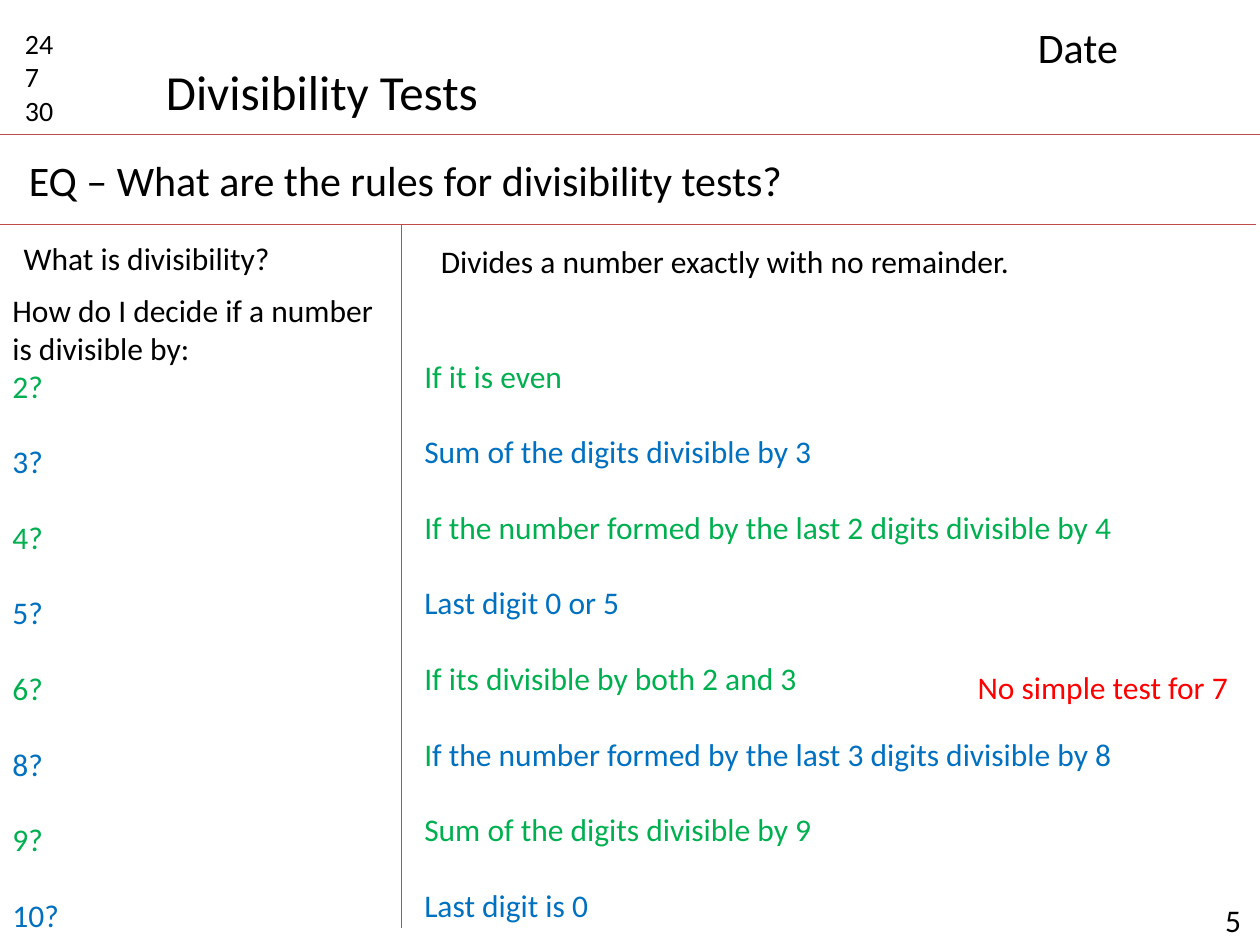
from dataclasses import dataclass

import pptx
import pptx.dml.color
import pptx.enum.shapes
import pptx.enum.text
import pptx.util
from lxml import etree

Pt = pptx.util.Pt
RGBColor = pptx.dml.color.RGBColor

BLACK = RGBColor(0x00, 0x00, 0x00)
GREEN = RGBColor(0x00, 0xB0, 0x50)
BLUE = RGBColor(0x00, 0x70, 0xC0)
RED = RGBColor(0xFF, 0x00, 0x00)
RULE = RGBColor(0xBF, 0x4C, 0x48)

FONT = "Calibri"
GAP = 21.6  # one empty line of 18 pt text
DRAW = "http://schemas.openxmlformats.org/drawingml/2006/main"


@dataclass
class Line:
    text: str
    color: RGBColor = BLACK
    before: float = 0
    lead: str = ""  # opening letters set in green


@dataclass
class Box:
    left: float
    top: float
    width: float
    height: float
    lines: list[Line]
    size: int = 18
    wrap: bool = True


@dataclass
class Rule:
    x1: float
    y1: float
    x2: float
    y2: float


@dataclass
class Test:
    number: int
    answer: str
    lead: str = ""


TESTS = [
    Test(2, "If it is even"),
    Test(3, "Sum of the digits divisible by 3"),
    Test(4, "If the number formed by the last 2 digits divisible by 4"),
    Test(5, "Last digit 0 or 5"),
    Test(6, "If its divisible by both 2 and 3"),
    Test(8, "f the number formed by the last 3 digits divisible by 8", "I"),
    Test(9, "Sum of the digits divisible by 9"),
    Test(10, "Last digit is 0"),
]

asks: list[Line] = [Line("How do I decide if a number is divisible by:")]
answers: list[Line] = []
for i, test in enumerate(TESTS):
    color = BLUE if i % 2 else GREEN
    gap = GAP if i else 0
    asks.append(Line(f"{test.number}?", color, gap))
    answers.append(Line(test.answer, color, gap, test.lead))

RULES = [
    Rule(0, 77, 720, 77),
    Rule(-2, 128.2, 718, 128.2),
    Rule(229.5, 128.2, 229.5, 530.5),
]

BOXES = [
    Box(689, 511.2, 43.2, 29, [Line(" 5")]),
    Box(7.2, 11.5, 45.4, 65.5, [Line("24"), Line("7"), Line("30")], 16),
    Box(87.8, 31.7, 194.4, 41, [Line("Divisibility Tests")], 28, False),
    Box(586, 8.6, 124.6, 36, [Line("Date")], 24),
    Box(9.4, 85, 679, 36,
        [Line("EQ – What are the rules for divisibility tests?")], 24),
    Box(6.5, 133.2, 203.8, 29, [Line("What is divisibility?")]),
    Box(244.8, 134.6, 340.6, 29,
        [Line("Divides a number exactly with no remainder.")], wrap=False),
    Box(0, 162.7, 229.7, 399.6, asks),
    Box(235.4, 200.2, 412.6, 443.5, answers, wrap=False),
    Box(551.5, 378, 159, 29, [Line("No simple test for 7", RED)], wrap=False),
]


def draw_rule(slide: pptx.slide.Slide, rule: Rule) -> None:
    line = slide.shapes.add_connector(
        pptx.enum.shapes.MSO_CONNECTOR.STRAIGHT,
        Pt(rule.x1), Pt(rule.y1), Pt(rule.x2), Pt(rule.y2))
    line.line.color.rgb = RULE
    line.line.width = Pt(0.75)
    etree.SubElement(line._element.spPr, f"{{{DRAW}}}effectLst")


def draw_box(slide: pptx.slide.Slide, box: Box) -> None:
    shape = slide.shapes.add_textbox(
        Pt(box.left), Pt(box.top), Pt(box.width), Pt(box.height))
    frame = shape.text_frame
    frame.word_wrap = box.wrap
    frame.auto_size = pptx.enum.text.MSO_AUTO_SIZE.SHAPE_TO_FIT_TEXT
    for i, line in enumerate(box.lines):
        para = frame.add_paragraph() if i else frame.paragraphs[0]
        para.font.name = FONT
        para.font.size = Pt(box.size)
        if line.before:
            para.space_before = Pt(line.before)
        if line.lead:
            for text, color in ((line.lead, GREEN), (line.text, line.color)):
                run = para.add_run()
                run.text = text
                run.font.color.rgb = color
        else:
            para.add_run().text = line.text
            para.font.color.rgb = line.color


def main() -> None:
    deck = pptx.Presentation()
    deck.slide_width, deck.slide_height = Pt(720), Pt(540)
    slide = deck.slides.add_slide(deck.slide_layouts[6])
    for rule in RULES:
        draw_rule(slide, rule)
    for box in BOXES:
        draw_box(slide, box)
    deck.save("out.pptx")


if __name__ == "__main__":
    main()
